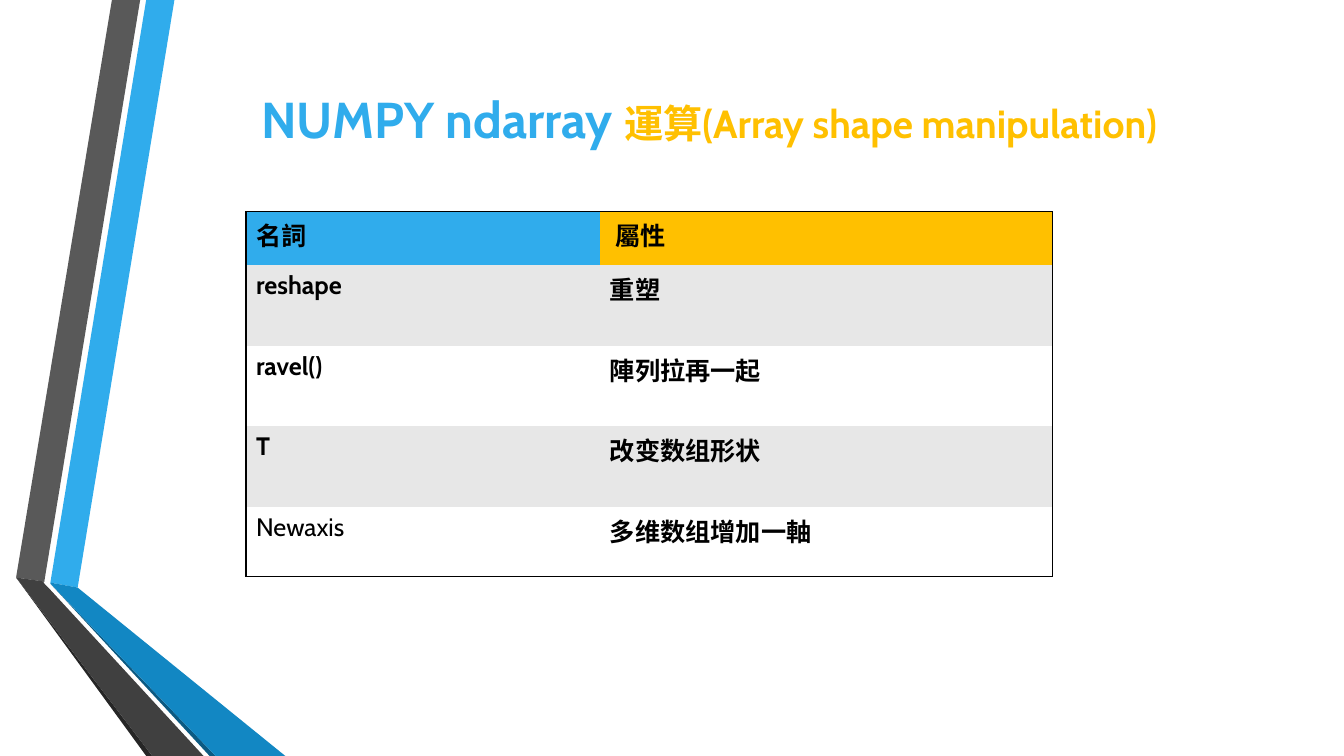
from lxml.etree import SubElement
from pptx import Presentation
from pptx.dml.color import RGBColor
from pptx.enum.text import MSO_ANCHOR, MSO_AUTO_SIZE, PP_ALIGN
from pptx.oxml.ns import qn
from pptx.util import Inches, Pt

WIDTH, HEIGHT = Inches(13.333), Inches(7.5)
FONT = "Cabin"
COLORS = {
    "blue": "30ACEC", "deep blue": "1287C3", "navy": "0C5A82",
    "gray": "595959", "dark gray": "404040", "charcoal": "262626",
    "gold": "FFC000", "band": "E7E7E7", "white": "FFFFFF", "black": "000000",
}
NO_STYLE = "{2D5ABB26-0587-4C30-8999-92F81FD0307C}"

# Ribbon outlines, in percent of the slide's width and height
RIBBONS = [
    ("blue", [(3.75, 77.07), (5.78, 77.73), (12.98, 0), (10.88, 0)]),
    ("gray", [(10.43, 0), (8.33, 0), (1.2, 76.4), (3.3, 76.93)]),
    ("charcoal", [(1.2, 76.4), (10.88, 100), (11.33, 100)]),
    ("navy", [(3.75, 77.2), (15.6, 100), (16.05, 100)]),
    ("deep blue", [(3.75, 77.2), (16.05, 100), (21.23, 100), (5.78, 77.73),
                   (3.75, 77.07)]),
    ("dark gray", [(15.15, 100), (3.6, 77.73), (3.23, 77.07), (3.3, 76.93),
                   (1.2, 76.4), (11.33, 100)]),
]
TITLE = [("NUMPY ndarray ", 36, "blue"),
         ("運算(Array shape manipulation)", 28, "gold")]
TERMS = [("名詞", " 屬性"), ("reshape", "重塑"), ("ravel()", "陣列拉再一起"),
         ("T", "改变数组形状"), ("Newaxis", "多维数组增加一軸")]
COLUMN_SHARES = [26.33, 33.68]
ROW_SHARES = [7.07, 10.67, 10.67, 10.67, 9.2]


def across(percent):
    return round(WIDTH * percent / 100)


def down(percent):
    return round(HEIGHT * percent / 100)


def color(name):
    return RGBColor.from_string(COLORS[name])


def fill_solid(target, name):
    target.fill.solid()
    target.fill.fore_color.rgb = color(name)


def add_run(paragraph, text, size, color_name, bold=True):
    run = paragraph.add_run()
    run.text = text
    for attribute, value in {"name": FONT, "size": Pt(size), "bold": bold}.items():
        setattr(run.font, attribute, value)
    run.font.color.rgb = color(color_name)


def add_ribbon(slide, color_name, outline):
    points = [(across(x), down(y)) for x, y in outline]
    builder = slide.shapes.build_freeform(*points[0], scale=1.0)
    builder.add_line_segments(points[1:], close=True)
    shape = builder.convert_to_shape()
    shape.shadow.inherit = False
    fill_solid(shape, color_name)
    shape.line.fill.background()


def format_title(slide):
    title = slide.shapes.title
    place = {"left": across(18.68), "top": down(10.93),
             "width": across(70.89), "height": down(9.47)}
    for attribute, value in place.items():
        setattr(title, attribute, value)
    frame_format = {"word_wrap": True, "vertical_anchor": MSO_ANCHOR.TOP,
                    "auto_size": MSO_AUTO_SIZE.SHAPE_TO_FIT_TEXT}
    for attribute, value in frame_format.items():
        setattr(title.text_frame, attribute, value)
    paragraph = title.text_frame.paragraphs[0]
    paragraph.alignment = PP_ALIGN.LEFT
    for text, size, color_name in TITLE:
        add_run(paragraph, text, size, color_name)


def add_borders(cell, sides):
    """Draw the given sides, named in the order L, R, T, B."""
    properties = cell._tc.get_or_add_tcPr()
    for position, side in enumerate(sides):
        line = SubElement(properties, qn(f"a:ln{side}"), w=str(Pt(1)))
        properties.insert(position, line)
        solid = SubElement(line, qn("a:solidFill"))
        SubElement(solid, qn("a:srgbClr"), val=COLORS["black"])


def add_terms_table(slide):
    last_row, last_column = len(TERMS) - 1, len(COLUMN_SHARES) - 1
    frame = slide.shapes.add_table(
        len(TERMS), len(COLUMN_SHARES), across(18.3), down(28),
        across(sum(COLUMN_SHARES)), down(sum(ROW_SHARES)))
    table = frame.table
    table._tbl.tblPr.find(qn("a:tableStyleId")).text = NO_STYLE
    for column, share in zip(table.columns, COLUMN_SHARES):
        column.width = across(share)
    for row, share in zip(table.rows, ROW_SHARES):
        row.height = down(share)

    for i, texts in enumerate(TERMS):
        for j, text in enumerate(texts):
            cell = table.cell(i, j)
            # Coloured header, then alternating bands
            if i == 0:
                fill_solid(cell, ("blue", "gold")[j])
            else:
                fill_solid(cell, "band" if i % 2 else "white")
            add_run(cell.text_frame.paragraphs[0], text, 18, "black",
                    bold=text != "Newaxis")
            # Outer frame only
            edges = {"L": j == 0, "R": j == last_column,
                     "T": i == 0, "B": i == last_row}
            add_borders(cell, [side for side, outer in edges.items() if outer])


def main():
    presentation = Presentation()
    presentation.slide_width, presentation.slide_height = WIDTH, HEIGHT
    slide = presentation.slides.add_slide(presentation.slide_layouts[5])
    for color_name, outline in RIBBONS:
        add_ribbon(slide, color_name, outline)
    format_title(slide)
    add_terms_table(slide)
    presentation.save("out.pptx")


if __name__ == "__main__":
    main()
